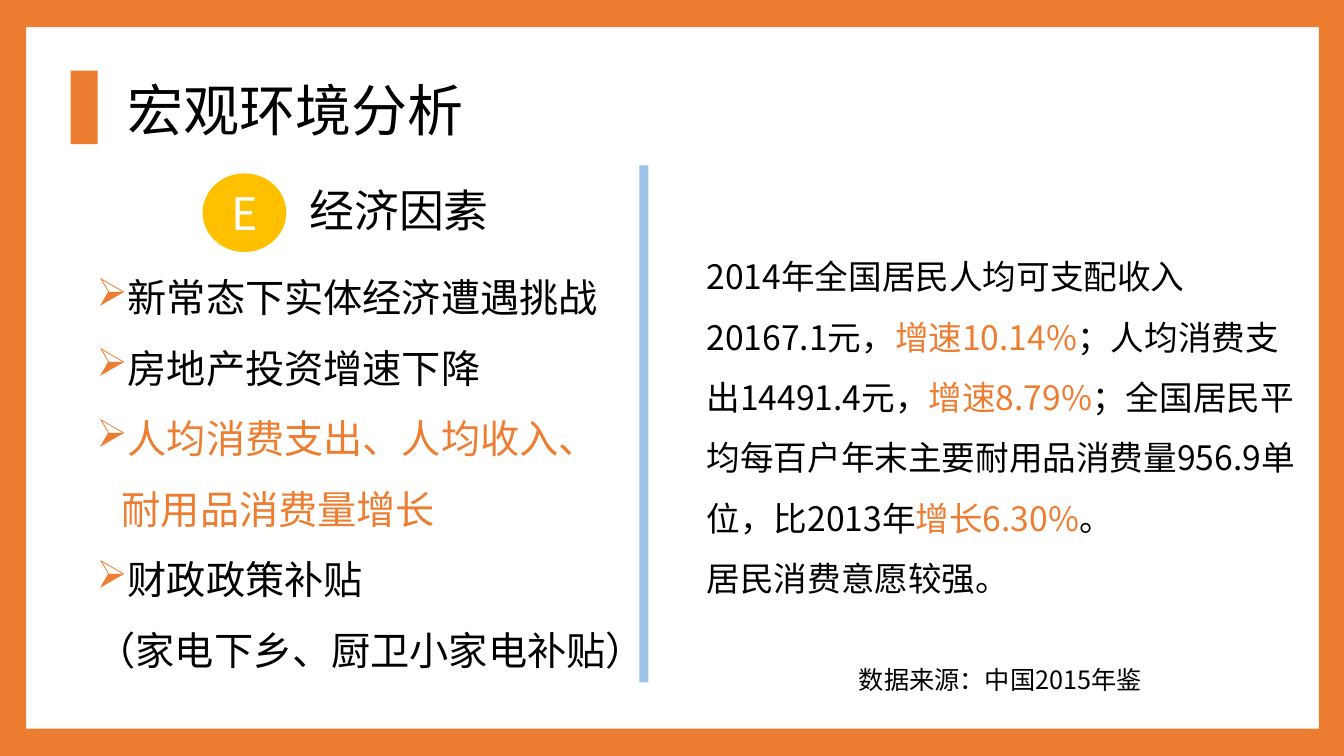
import pptx
import pptx.dml.color
import pptx.enum.shapes
import pptx.enum.text
import pptx.oxml.ns
import pptx.util
from dataclasses import dataclass
from lxml import etree

EMU_PER_PX = 9144  # 100 px to the inch
PAGE_WIDTH, PAGE_HEIGHT = 1333, 750
SHAPES = pptx.enum.shapes.MSO_SHAPE


@dataclass(frozen=True)
class Theme:
    font: str = "Noto Sans CJK SC"
    accent: str = "ED7D31"
    badge: str = "FFC000"
    divider: str = "9DC3E6"
    ink: str = "000000"
    white: str = "FFFFFF"
    title: int = 40
    heading: int = 32
    factor: int = 28
    body: int = 24
    source: int = 18


THEME = Theme()


def px(length):
    return pptx.util.Emu(length * EMU_PER_PX)


def rgb(colour):
    return pptx.dml.color.RGBColor.from_string(colour)


def add_element(parent, tag, **attributes):
    return etree.SubElement(parent, pptx.oxml.ns.qn(tag), attributes)


def style_paragraph(para, size, colour=None):
    """Set the Latin and East Asian font; without a colour the runs set theirs."""
    para.font.size = pptx.util.Pt(size)
    if colour:
        para.font.color.rgb = rgb(colour)
    para.font.name = THEME.font
    defaults = para._p.get_or_add_pPr().find(pptx.oxml.ns.qn("a:defRPr"))
    add_element(defaults, "a:ea", typeface=THEME.font)


def add_bullet(para, indent):
    properties = para._p.get_or_add_pPr()
    properties.set("marL", str(px(indent)))
    properties.set("indent", str(-px(indent)))
    bullet_colour = add_element(properties, "a:buClr")
    add_element(bullet_colour, "a:srgbClr", val=THEME.accent)
    add_element(properties, "a:buChar", char="➢")


def add_block(page, kind, bounds, colour):
    block = page.shapes.add_shape(kind, *map(px, bounds))
    block.shadow.inherit = False
    block.fill.solid()
    block.fill.fore_color.rgb = rgb(colour)
    block.line.fill.background()
    return block


def add_text_frame(page, bounds):
    box = page.shapes.add_textbox(*map(px, bounds))
    box.text_frame.word_wrap = True
    return box.text_frame


def add_paragraphs(frame, count):
    """Return the frame's first paragraph followed by new ones."""
    return [frame.paragraphs[0]] + [frame.add_paragraph() for _ in range(count - 1)]


def add_label(page, bounds, text, size):
    para = add_text_frame(page, bounds).paragraphs[0]
    para.text = text
    style_paragraph(para, size, THEME.ink)


def add_badge(page, bounds, letter):
    badge = add_block(page, SHAPES.OVAL, bounds, THEME.badge)
    badge.text_frame.vertical_anchor = pptx.enum.text.MSO_ANCHOR.MIDDLE
    para = badge.text_frame.paragraphs[0]
    para.text = letter
    para.alignment = pptx.enum.text.PP_ALIGN.CENTER
    style_paragraph(para, THEME.heading, THEME.white)


def add_factors(page, bounds, factors):
    """Each factor is its text, colour, whether it is bulleted, and left indent."""
    frame = add_text_frame(page, bounds)
    for para, (text, colour, bulleted, indent) in zip(
            add_paragraphs(frame, len(factors)), factors):
        para.text = text
        para.line_spacing = 1.5
        if bulleted:
            add_bullet(para, indent)
        else:
            properties = para._p.get_or_add_pPr()
            properties.set("marL", str(px(indent)))
            properties.set("indent", "0")
        style_paragraph(para, THEME.factor, colour)


def add_findings(page, bounds, findings):
    """Each finding is a list of spans that alternate between ink and accent."""
    frame = add_text_frame(page, bounds)
    for para, texts in zip(add_paragraphs(frame, len(findings)), findings):
        para.line_spacing = 1.5
        style_paragraph(para, THEME.body)
        for position, text in enumerate(texts):
            span = para.add_run()
            span.text = text
            span.font.color.rgb = rgb(THEME.accent if position % 2 else THEME.ink)


def add_frame(page):
    thickness, side = 27, 26
    for bounds in (
        (0, 0, PAGE_WIDTH, thickness),
        (0, PAGE_HEIGHT - thickness, PAGE_WIDTH, thickness),
        (0, 0, side, PAGE_HEIGHT),
        (PAGE_WIDTH - side + 1, 0, side, PAGE_HEIGHT),
    ):
        add_block(page, SHAPES.RECTANGLE, bounds, THEME.accent)


def main():
    deck = pptx.Presentation()
    deck.slide_width, deck.slide_height = px(PAGE_WIDTH), px(PAGE_HEIGHT)
    page = deck.slides.add_slide(deck.slide_layouts[6])

    add_frame(page)
    add_block(page, SHAPES.RECTANGLE, (70, 70, 27, 73), THEME.accent)
    add_label(page, (117, 70, 458, 77), "宏观环境分析", THEME.title)
    add_block(page, SHAPES.RECTANGLE, (634, 164, 9, 513), THEME.divider)
    add_badge(page, (201, 172, 83, 78), "E")
    add_label(page, (297, 176, 238, 64), "经济因素", THEME.heading)
    add_factors(page, (86, 243, 687, 434), [
        ("新常态下实体经济遭遇挑战", THEME.ink, True, 31),
        ("房地产投资增速下降", THEME.ink, True, 31),
        ("人均消费支出、人均收入、", THEME.accent, True, 31),
        ("耐用品消费量增长", THEME.accent, False, 25),
        ("财政政策补贴", THEME.ink, True, 31),
        ("（家电下乡、厨卫小家电补贴）", THEME.ink, False, 0),
    ])
    add_findings(page, (691, 229, 605, 366), [
        ["2014年全国居民人均可支配收入20167.1元，", "增速10.14%",
         "；人均消费支出14491.4元，", "增速8.79%",
         "；全国居民平均每百户年末主要耐用品消费量956.9单位，比2013年",
         "增长6.30%", "。"],
        ["居民消费意愿较强。"],
    ])
    add_label(page, (842, 654, 456, 40), "数据来源：中国2015年鉴", THEME.source)

    deck.save("out.pptx")


if __name__ == "__main__":
    main()
